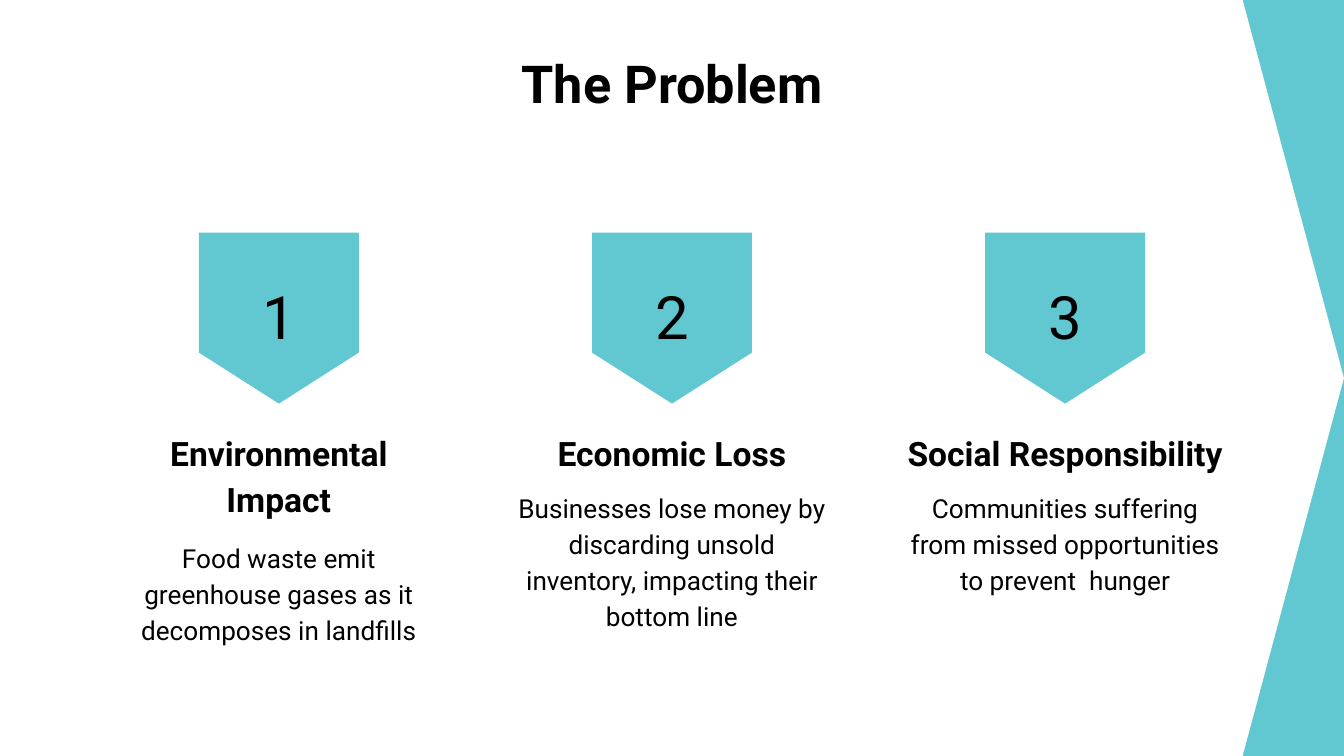
from pptx import Presentation
from pptx.dml.color import RGBColor
from pptx.enum.shapes import MSO_SHAPE
from pptx.enum.text import MSO_ANCHOR, PP_ALIGN
from pptx.util import Cm, Pt

COLORS = {"teal": "61C7D0", "white": "FFFFFF", "black": "000000"}
FONT = "Roboto"
INSET = 0.25

PROBLEMS = [
    ("Environmental Impact",
     "Food waste emit greenhouse gases as it decomposes in landfills", 5.52, 3.33),
    ("Economic Loss",
     "Businesses lose money by discarding unsold inventory, impacting their bottom line",
     4.58, 3.33),
    ("Social Responsibility",
     "Communities suffering from missed opportunities to prevent  hunger", 4.58, 4.27),
]


def color(name):
    return RGBColor.from_string(COLORS[name])


def write(box, text, size, bold=False, anchor=MSO_ANCHOR.TOP):
    frame = box.text_frame
    frame.text = text
    frame.word_wrap = True
    frame.vertical_anchor = anchor
    frame.margin_left = frame.margin_right = Cm(INSET)
    frame.margin_top = frame.margin_bottom = Cm(INSET)
    para = frame.paragraphs[0]
    para.alignment = PP_ALIGN.CENTER
    for span in para.runs:
        span.font.name = FONT
        span.font.size = Pt(size)
        span.font.bold = bold
        span.font.color.rgb = color("black")
    return para


def add_text(page, left, top, width, height, text, size, **style):
    box = page.shapes.add_textbox(Cm(left), Cm(top), Cm(width), Cm(height))
    return write(box, text, size, **style)


def add_plate(page, left, top, width, height, point, fill):
    plate = page.shapes.add_shape(
        MSO_SHAPE.PENTAGON, Cm(left), Cm(top), Cm(width), Cm(height))
    plate.adjustments[0] = point
    plate.shadow.inherit = False
    plate.fill.solid()
    plate.fill.fore_color.rgb = color(fill)
    plate.line.fill.background()
    return plate


def add_backdrop(page, width, height):
    page.background.fill.solid()
    page.background.fill.fore_color.rgb = color("teal")
    plate = add_plate(page, 0, 0, width, height, 0.134, "white")
    page.shapes.title.element.addprevious(plate.element)


def add_title(page, left, top, width, height, text):
    title = page.shapes.title
    title.left, title.top = Cm(left), Cm(top)
    title.width, title.height = Cm(width), Cm(height)
    write(title, text, 28, bold=True)


def add_problem(page, left, top, width, number, heading, body, body_offset, body_height):
    middle = left + width / 2
    length, breadth, number_size = 3.23, 3.02, 1.47
    badge = add_plate(page, middle - length / 2, top + (length - breadth) / 2 + 0.01,
                      length, breadth, 0.319, "teal")
    badge.rotation = 90
    add_text(page, middle - number_size / 2, top + 0.84, number_size, number_size,
             str(number), 32, anchor=MSO_ANCHOR.MIDDLE)
    paras = [
        add_text(page, left, top + 3.43, width, 1.6, heading, 18, bold=True),
        add_text(page, left, top + body_offset, width, body_height, body, 14),
    ]
    for para in paras:
        para.line_spacing = 1.15
        para.space_after = Pt(16)


def main():
    deck = Presentation()
    width, height = 25.4, 14.29
    deck.slide_width, deck.slide_height = Cm(width), Cm(height)
    page = deck.slides.add_slide(deck.slide_layouts[5])

    margin, column = 1.98, 6.58
    content = width - 2 * margin
    pitch = (content - column) / (len(PROBLEMS) - 1)

    add_backdrop(page, width, height)
    add_title(page, margin, 0.71, content, 1.6, "The Problem")
    for index, problem in enumerate(PROBLEMS):
        add_problem(page, margin + index * pitch, 4.39, column, index + 1, *problem)
    deck.save("out.pptx")


if __name__ == "__main__":
    main()
